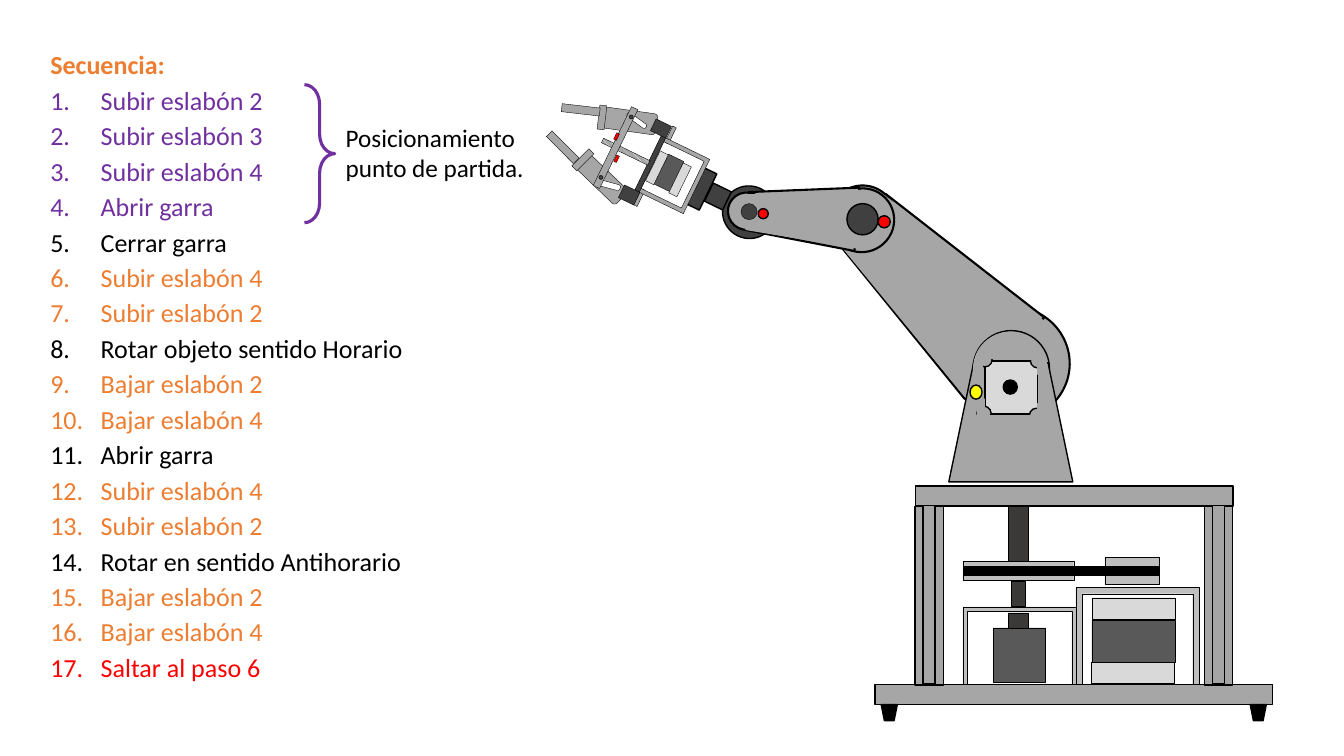
from lxml import etree
from pptx import Presentation
from pptx.dml.color import RGBColor
from pptx.enum.dml import MSO_PATTERN
from pptx.enum.shapes import MSO_SHAPE as SHAPE
from pptx.enum.text import MSO_ANCHOR
from pptx.oxml.ns import qn
from pptx.util import Inches, Pt

RECT, ROUND, OVAL = SHAPE.RECTANGLE, SHAPE.ROUNDED_RECTANGLE, SHAPE.OVAL
FRAME, TAPER = SHAPE.FRAME, SHAPE.FLOWCHART_MANUAL_OPERATION
BLACK, WHITE, RED, YELLOW = "000000", "FFFFFF", "FF0000", "FFFF00"
METAL, STEEL, LIGHT = "A6A6A6", "BFBFBF", "D9D9D9"
DARK, MOTOR, SHAFT = "404040", "595959", "3B3838"
PURPLE, ORANGE = "7030A0", "ED7D31"
THIN = 0.25
CLAW_TILT = 115.9

STEPS = [
    ("Subir eslabón 2", PURPLE), ("Subir eslabón 3", PURPLE),
    ("Subir eslabón 4", PURPLE), ("Abrir garra", PURPLE),
    ("Cerrar garra", BLACK), ("Subir eslabón 4", ORANGE),
    ("Subir eslabón 2", ORANGE), ("Rotar objeto sentido Horario", BLACK),
    ("Bajar eslabón 2", ORANGE), ("Bajar eslabón 4", ORANGE),
    ("Abrir garra", BLACK), ("Subir eslabón 4", ORANGE),
    ("Subir eslabón 2", ORANGE), ("Rotar en sentido Antihorario", BLACK),
    ("Bajar eslabón 2", ORANGE), ("Bajar eslabón 4", ORANGE),
    ("Saltar al paso 6", RED),
]


def color(value):
    return RGBColor.from_string(value)


def add_part(shapes, kind, at, fill=METAL, line=BLACK, width=1, rot=0, adj=()):
    """Add a preset shape; fill or line may be None."""
    sp = shapes.add_shape(kind, *(Inches(v) for v in at))
    sp.shadow.inherit = False
    sp.rotation = rot
    for i, value in enumerate(adj):
        sp.adjustments[i] = value
    if fill:
        sp.fill.solid()
        sp.fill.fore_color.rgb = color(fill)
    else:
        sp.fill.background()
    if line:
        sp.line.color.rgb = color(line)
        sp.line.width = Pt(width)
    else:
        sp.line.fill.background()
    return sp


def add_text_box(shapes, at):
    tf = shapes.add_textbox(*(Inches(v) for v in at)).text_frame
    tf.word_wrap = True
    tf.vertical_anchor = MSO_ANCHOR.TOP
    return tf


def write(p, text, size=18, fill=BLACK, bold=False, spacing=None, before=0, numbered=False):
    if numbered:
        pPr = p._p.get_or_add_pPr()
        pPr.set("marL", str(Inches(0.5)))
        pPr.set("indent", str(-Inches(0.5)))
        etree.SubElement(pPr, qn("a:buFont"), typeface="+mj-lt")
        etree.SubElement(pPr, qn("a:buAutoNum"), type="arabicPeriod")
    if spacing:
        p.line_spacing = spacing
    p.space_before = Pt(before)
    r = p.add_run()
    r.text = text
    r.font.name = "Calibri"
    r.font.size = Pt(size)
    r.font.bold = bold
    r.font.color.rgb = color(fill)


def draw_fingers(shapes):
    for kind, at, rot, fill, adj in [
        (ROUND, (5.87, 1.51, 0.2, 0.54), 133.8, METAL, ()),
        (ROUND, (6, 1.71, 0.06, 0.25), 104.9, WHITE, (0.405,)),
        (RECT, (5.66, 1.55, 0.24, 0.07), 135.1, METAL, ()),
        (RECT, (5.54, 1.27, 0.08, 0.38), 135.1, METAL, ()),
        (ROUND, (6.14, 0.93, 0.21, 0.54), 97.9, METAL, ()),
        (ROUND, (6.29, 1.08, 0.05, 0.23), 126.2, WHITE, (0.405,)),
        (RECT, (5.85, 1.13, 0.24, 0.07), 96.6, METAL, ()),
        (RECT, (5.72, 0.9, 0.08, 0.38), 96.6, METAL, ()),
    ]:
        add_part(shapes, kind, at, fill, width=THIN, rot=rot, adj=adj)


def draw_claw(shapes):
    draw_fingers(shapes)
    for kind, at in [(OVAL, (7.17, 1.84, 0.52, 0.53)), (RECT, (7.02, 1.85, 0.2, 0.2)),
                     (RECT, (6.75, 1.79, 0.4, 0.16))]:
        add_part(shapes, kind, at, DARK, rot=CLAW_TILT)
    for at in [(6.56, 1.32, 0.18, 0.04), (6.25, 1.94, 0.18, 0.04)]:
        add_part(shapes, RECT, at, width=THIN, rot=CLAW_TILT)
    add_part(shapes, FRAME, (6.37, 1.47, 0.6, 0.53), width=THIN, rot=CLAW_TILT, adj=(0.079,))
    for at, fill in [
        ((6.15, 1.6, 0.6, 0.05), DARK), ((6.49, 1.19, 0.13, 0.17), DARK),
        ((6.17, 1.85, 0.14, 0.17), DARK), ((6.47, 1.63, 0.33, 0.17), MOTOR),
        ((6.58, 1.74, 0.33, 0.09), LIGHT), ((6.35, 1.62, 0.33, 0.09), LIGHT),
    ]:
        add_part(shapes, RECT, at, fill, width=THIN, rot=CLAW_TILT)
    screw = add_part(shapes, RECT, (6.18, 1.25, 0.05, 0.51), width=THIN, rot=CLAW_TILT)
    screw.fill.patterned()
    screw.fill.pattern = MSO_PATTERN.WIDE_DOWNWARD_DIAGONAL
    screw.fill.fore_color.rgb = color(WHITE)
    screw.fill.back_color.rgb = color(METAL)
    for kind, at, fill, rot in [
        (RECT, (6.08, 1.56, 0.07, 0.03), RED, CLAW_TILT),
        (RECT, (6.07, 1.03, 0.07, 0.87), METAL, 25.9),
        (OVAL, (6.24, 1.14, 0.04, 0.04), DARK, CLAW_TILT),
        (OVAL, (5.94, 1.74, 0.04, 0.04), DARK, CLAW_TILT),
        (RECT, (6.08, 1.34, 0.07, 0.03), RED, CLAW_TILT),
    ]:
        add_part(shapes, kind, at, fill, width=THIN, rot=rot)


def draw_link(shapes, big_end, body, small_end, cover, end_rot, body_rot, cover_rot):
    """Two round ends and a tapered body; the cover hides the inner outlines."""
    add_part(shapes, OVAL, big_end, width=1.5, rot=end_rot)
    add_part(shapes, TAPER, body, width=1.5, rot=body_rot)
    add_part(shapes, OVAL, small_end, width=1.5, rot=end_rot)
    add_part(shapes, TAPER, cover, line=METAL, width=1.5, rot=cover_rot)


def draw_upper_arm(shapes):
    draw_link(shapes, (9.45, 3.04, 1.16, 1.13), (8.69, 1.87, 1.13, 1.98),
              (8.22, 1.84, 0.67, 0.67), (8.72, 1.88, 1.07, 1.98), 5, 134.4, 134.4)


def draw_forearm(shapes):
    draw_link(shapes, (8.23, 1.87, 0.64, 0.63), (7.64, 1.59, 0.63, 1.09),
              (7.22, 1.91, 0.37, 0.37), (7.68, 1.59, 0.56, 1.1), 324.8, 94.3, 93.6)
    for x, y, size, fill, width in [
        (8.4, 2.02, 0.31, DARK, 1), (7.35, 2.02, 0.16, DARK, THIN),
        (8.71, 2.14, 0.12, RED, 1), (7.52, 2.07, 0.1, RED, 1),
    ]:
        add_part(shapes, OVAL, (x, y, size, size), fill, width=width)


def draw_shoulder(shapes):
    add_part(shapes, ROUND, (9.65, 3.28, 0.76, 0.82), adj=(0.5,))
    add_part(shapes, TAPER, (9.41, 3.6, 1.23, 1.18), rot=180)
    add_part(shapes, ROUND, (9.65, 3.29, 0.74, 0.79), line=None, adj=(0.5,))
    add_part(shapes, RECT, (9.77, 3.58, 0.52, 0.53), LIGHT)
    add_part(shapes, OVAL, (9.95, 3.77, 0.14, 0.14), BLACK)
    # Each plate corner is a round notch with two strips over its outer half.
    for x, y, level, upright in [
        (10.22, 3.51, (10.18, 3.51, 0.17, 0.06), (10.24, 3.59, 0.18, 0.07)),
        (10.21, 4.05, (10.14, 4.12, 0.15, 0.07), (10.23, 4.07, 0.2, 0.07)),
        (9.69, 4.03, (9.69, 4.12, 0.18, 0.05), (9.65, 4.01, 0.16, 0.06)),
        (9.7, 3.5, (9.76, 3.5, 0.15, 0.06), (9.63, 3.56, 0.18, 0.05)),
    ]:
        add_part(shapes, OVAL, (x, y, 0.14, 0.14))
        add_part(shapes, RECT, level, line=METAL)
        add_part(shapes, RECT, upright, line=METAL, rot=90)


def draw_base(shapes):
    for at in [(9.55, 6.02, 1.13, 0.86), (10.67, 5.83, 1.22, 1.1)]:
        add_part(shapes, FRAME, at, STEEL, width=THIN, adj=(0.055,))
    for at in [(9.08, 4.82, 3.15, 0.2), (8.68, 6.79, 3.94, 0.2)]:
        add_part(shapes, RECT, at)
    for x in (8.33, 11.2):
        for y, depth in [(5.77, 0.28), (5.84, 0.12)]:
            add_part(shapes, RECT, (x, y, 1.77, depth), rot=90)
    for x in (8.74, 12.4):
        add_part(shapes, TAPER, (x, 6.99, 0.16, 0.16), BLACK)
    for at, fill in [
        ((10.83, 6.15, 0.83, 0.42), MOTOR), ((10.83, 5.93, 0.83, 0.21), LIGHT),
        ((10.82, 6.57, 0.83, 0.21), LIGHT), ((9.85, 6.23, 0.52, 0.54), MOTOR),
        ((9.55, 5.57, 1.1, 0.19), STEEL), ((10.96, 5.53, 0.54, 0.27), STEEL),
        ((9.56, 5.62, 1.93, 0.09), BLACK), ((10, 5.02, 0.2, 0.55), SHAFT),
        ((10, 6.08, 0.2, 0.15), SHAFT), ((10.03, 5.77, 0.14, 0.24), SHAFT),
    ]:
        add_part(shapes, RECT, at, fill, width=1 if fill == BLACK else THIN)


def draw_sequence(shapes):
    tf = add_text_box(shapes, (0.4, 0.52, 3.89, 6.89))
    write(tf.paragraphs[0], "Secuencia:", size=18.6, fill=ORANGE, bold=True, spacing=0.7)
    for text, fill in STEPS:
        write(tf.add_paragraph(), text, size=18.6, fill=fill, spacing=0.7,
              before=9.7, numbered=True)
    add_part(shapes, SHAPE.RIGHT_BRACE, (3.02, 0.84, 0.3, 1.37), None, PURPLE, 2.25,
             adj=(0.646, 0.5))
    note = add_text_box(shapes, (3.33, 1.16, 2.1, 0.71))
    write(note.paragraphs[0], "Posicionamiento punto de partida.")


def main():
    prs = Presentation()
    prs.slide_width, prs.slide_height = Inches(13.33), Inches(7.5)
    shapes = prs.slides.add_slide(prs.slide_layouts[6]).shapes
    for draw in (draw_claw, draw_upper_arm, draw_forearm, draw_shoulder, draw_base):
        draw(shapes.add_group_shape().shapes)
    add_part(shapes, OVAL, (9.61, 3.83, 0.14, 0.12), YELLOW, rot=90)
    draw_sequence(shapes)
    prs.save("out.pptx")


if __name__ == "__main__":
    main()
